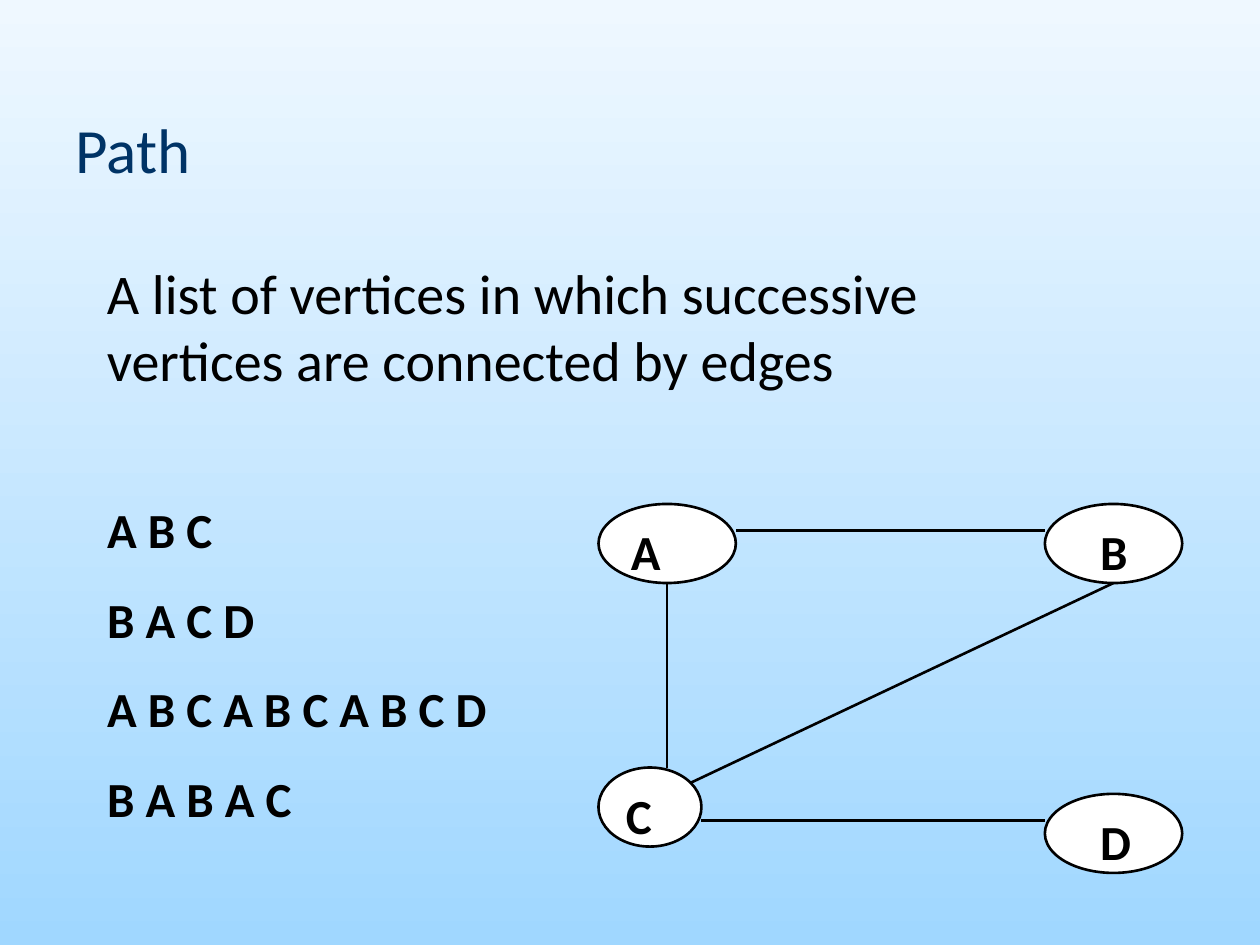
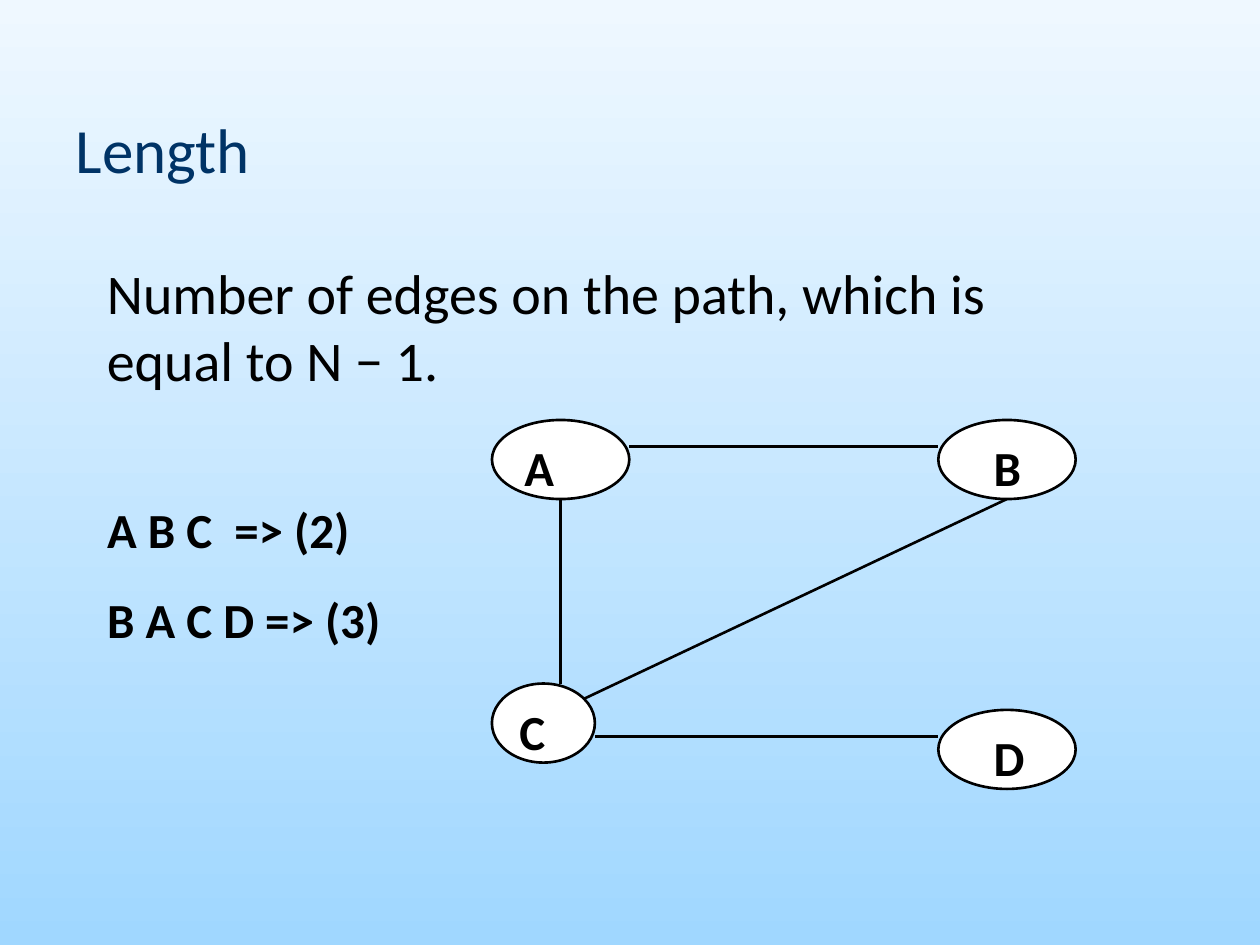
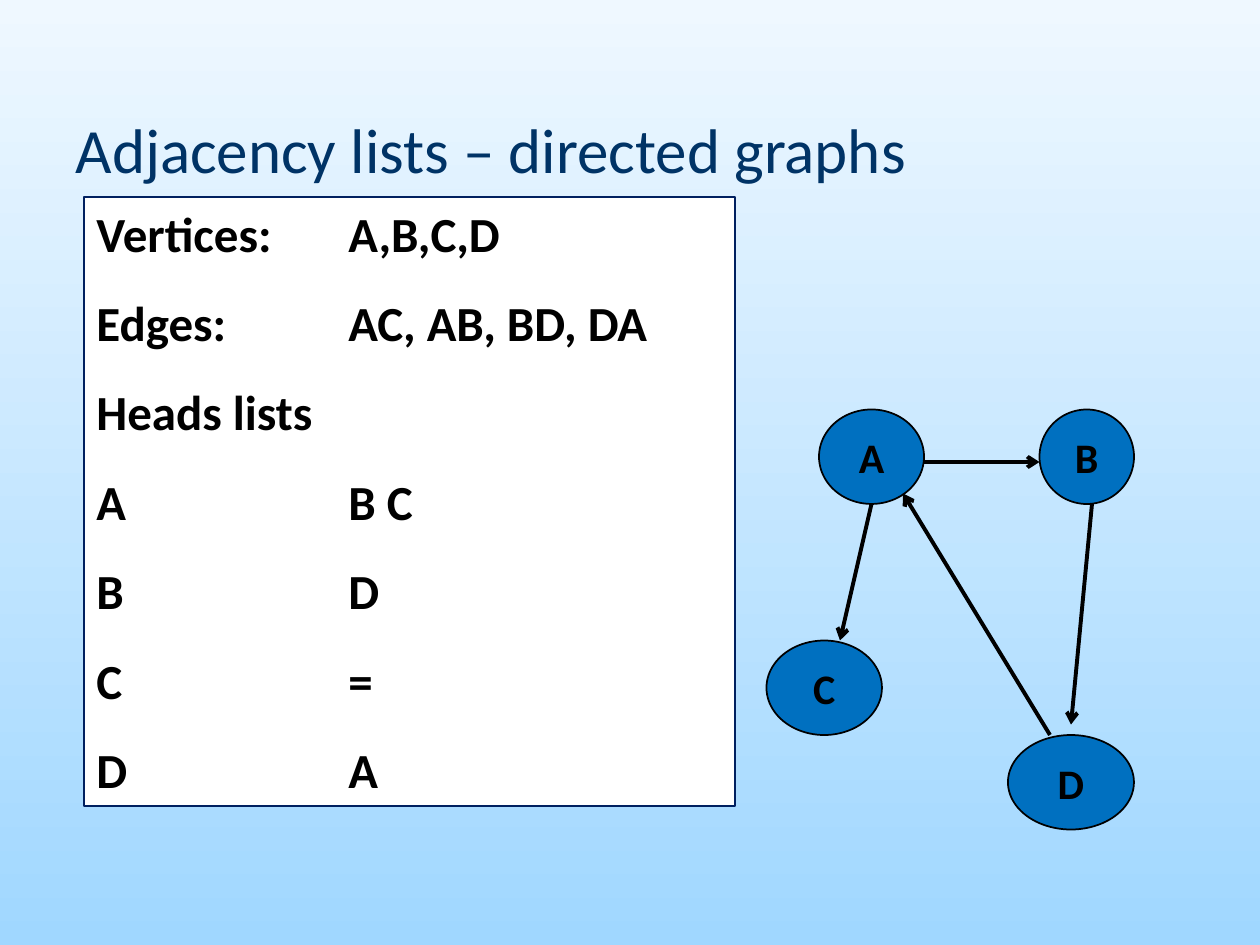
from lxml import etree
from pptx import Presentation
from pptx import util as u
from pptx.dml.color import RGBColor
from pptx.enum import shapes, text
from pptx.oxml.ns import qn

COLUMNS, ROWS = 120, 90
TITLE_AND_LIST, TITLE_ONLY = 1, 5
NODE_SPAN = 3
CELL_WIDTH, CELL_HEIGHT = 3.27, 2.51
PATH_NODES = [("A", 0, 0, 4, 0.1), ("B", 13, 0, 4, 0.28),
              ("C", 0, 10, 3, 0.1), ("D", 13, 11, 4, 0.28)]
HIDDEN_EDGE = (15, 3, 2, 11)
PATH_EDGES = [(4, 1, 13, 1), (2, 3, 2, 10), (3, 12, 13, 12)]
DIRECTED_NODES = [("A", 78, 39, 10), ("B", 99, 39, 9), ("C", 73, 61, 11), ("D", 96, 70, 12)]
DIRECTED_EDGES = [(88, 44, 99, 44), (83, 48, 80, 61), (100, 70, 86, 47), (104, 48, 102, 69)]


def colour(value):
    return RGBColor.from_string(value)


class GraphDeck:
    """Hold the shared style and the current slide on a 120 by 90 grid."""

    font = "Calibri"
    ink, title_ink, paper, node_fill, frame = "000000", "003366", "FFFFFF", "0070C0", "002060"
    sky = ("EFF8FF", "A0D7FF")

    def __init__(self):
        self.deck = Presentation()
        self.deck.slide_width, self.deck.slide_height = u.Inches(10), u.Inches(7.5)
        fill = self.deck.slide_master.background.fill
        fill.gradient()
        fill.gradient_angle = 270
        for stop, value in zip(fill.gradient_stops, self.sky):
            stop.color.rgb = colour(value)

    def grid(self, *lengths):
        steps = (self.deck.slide_width / COLUMNS, self.deck.slide_height / ROWS)
        return [round(length * steps[i % 2]) for i, length in enumerate(lengths)]

    def place(self, box, *area):
        box.left, box.top, box.width, box.height = self.grid(*area)

    def paint(self, item, value):
        item.fill.solid()
        item.fill.fore_color.rgb = colour(value)

    def outline(self, item, value, width):
        item.line.color.rgb = colour(value)
        item.line.width = u.Pt(width)

    def style(self, paragraph, size, value, bold=False):
        for span in paragraph.runs:
            span.font.name = self.font
            span.font.size = u.Pt(size)
            span.font.bold = bold
            span.font.color.rgb = colour(value)

    def page(self, title, layout=TITLE_AND_LIST):
        self.slide = self.deck.slides.add_slide(self.deck.slide_layouts[layout])
        box = self.slide.shapes.title
        self.place(box, 6, 9.6, 108, 9)
        frame = box.text_frame
        frame.text = title
        frame.auto_size = text.MSO_AUTO_SIZE.NONE
        frame.vertical_anchor = text.MSO_ANCHOR.MIDDLE
        frame.paragraphs[0].alignment = text.PP_ALIGN.LEFT
        self.style(frame.paragraphs[0], 36, self.title_ink)

    def definition(self, wording):
        box = self.slide.shapes.add_textbox(*self.grid(9, 24, 93, 14))
        box.text_frame.word_wrap = True
        box.text_frame.text = wording
        self.style(box.text_frame.paragraphs[0], 32, self.ink)

    def fill_list(self, box, lines):
        frame = box.text_frame
        frame.text = "\n".join(lines)
        frame.word_wrap = True
        frame.auto_size = text.MSO_AUTO_SIZE.NONE
        for index, paragraph in enumerate(frame.paragraphs):
            paragraph.space_before = u.Pt(17.5 if index else 0)
            self.style(paragraph, 28, self.ink, bold=True)
        return [paragraph._p.get_or_add_pPr() for paragraph in frame.paragraphs]

    def listing(self, lines, area):
        box = self.slide.placeholders[1]
        self.place(box, *area)
        for props in self.fill_list(box, lines):
            props.set("marL", "0")
            props.set("indent", "0")
            etree.SubElement(props, qn("a:buNone"))

    def framed_listing(self, lines, area, tab):
        box = self.slide.shapes.add_textbox(*self.grid(*area))
        self.paint(box, self.paper)
        self.outline(box, self.frame, 1)
        for props in self.fill_list(box, lines):
            stops = etree.SubElement(props, qn("a:tabLst"))
            etree.SubElement(stops, qn("a:tab"), pos=str(u.Inches(tab)), algn="l")

    def node(self, parent, label, area, fill, width, size):
        oval = parent.shapes.add_shape(shapes.MSO_SHAPE.OVAL, *self.grid(*area))
        oval.shadow.inherit = False
        self.paint(oval, fill)
        self.outline(oval, self.ink, width)
        oval.text_frame.text = label
        self.style(oval.text_frame.paragraphs[0], size, self.ink, bold=True)
        return oval.text_frame

    def edge(self, parent, ends, width, arrow=False):
        line = parent.shapes.add_connector(shapes.MSO_CONNECTOR.STRAIGHT, *self.grid(*ends))
        self.outline(line, self.ink, width)
        if arrow:
            etree.SubElement(line.line._get_or_add_ln(), qn("a:tailEnd"), type="arrow")
        etree.SubElement(line._element.spPr, qn("a:effectLst"))

    def path_graph(self, left, top):
        group = self.slide.shapes.add_group_shape()

        def point(column, row):
            return left + column * CELL_WIDTH, top + row * CELL_HEIGHT

        def join(start_column, start_row, end_column, end_row):
            self.edge(group, (*point(start_column, start_row), *point(end_column, end_row)), 1.5)

        join(*HIDDEN_EDGE)
        for label, column, row, span, margin in PATH_NODES:
            area = (*point(column, row), span * CELL_WIDTH, NODE_SPAN * CELL_HEIGHT)
            frame = self.node(group, label, area, self.paper, 1.5, 28)
            frame.vertical_anchor = text.MSO_ANCHOR.TOP
            frame.margin_left = u.Inches(margin)
            frame.paragraphs[0].alignment = text.PP_ALIGN.LEFT
        for ends in PATH_EDGES:
            join(*ends)

    def directed_graph(self):
        for label, left, top, width in DIRECTED_NODES:
            frame = self.node(self.slide, label, (left, top, width, 9), self.node_fill, 1, 24)
            frame.word_wrap = False
            frame.vertical_anchor = text.MSO_ANCHOR.MIDDLE
            frame.paragraphs[0].alignment = text.PP_ALIGN.CENTER
        for ends in DIRECTED_EDGES:
            self.edge(self.slide, ends, 2.25, arrow=True)


def main():
    graphs = GraphDeck()

    graphs.page("Path")
    graphs.definition("A list of vertices in which successive vertices are connected by edges")
    graphs.listing(["A B C", "B A C D", "A B C A B C A B C D", "B A B A C"], (9, 47, 48, 32.4))
    graphs.path_graph(57, 48)

    graphs.page("Length")
    graphs.definition("Number of edges on the path, which is equal to N − 1.")
    graphs.listing(["A B C  => (2)", "B A C D => (3)"], (9, 47, 48, 15.4))
    graphs.path_graph(46.85, 40)

    graphs.page("Adjacency lists – directed graphs", TITLE_ONLY)
    graphs.framed_listing(
        ["Vertices:\tA,B,C,D", "Edges:\tAC, AB, BD, DA", "Heads lists",
         "A\tB C", "B\tD", "C\t=", "D\tA"],
        (8, 18.75, 62, 58), tab=2)
    graphs.directed_graph()

    graphs.deck.save("out.pptx")


if __name__ == "__main__":
    main()
